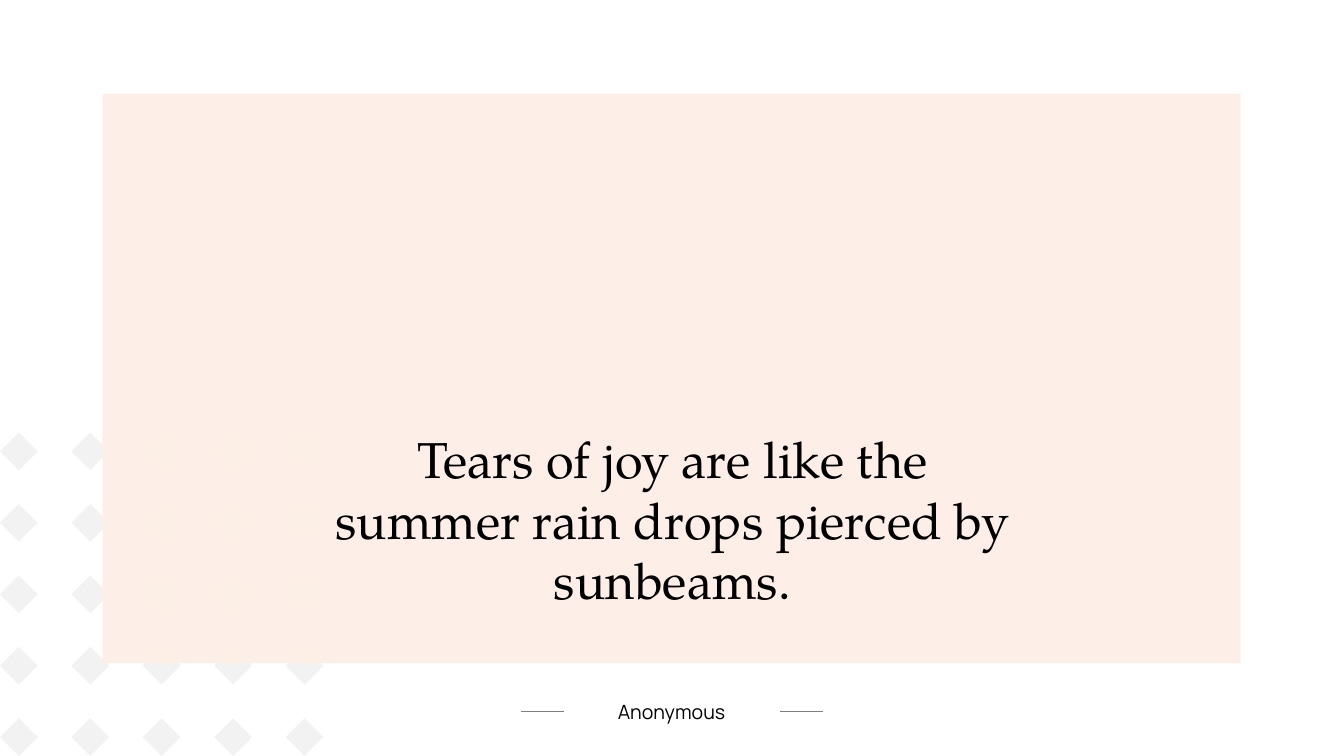
"""Build a quote slide with a tinted panel over a diamond pattern."""
import lxml.etree
import pptx
import pptx.dml.color
import pptx.enum.shapes
import pptx.enum.text
import pptx.oxml.ns
import pptx.util

Cm = pptx.util.Cm
Pt = pptx.util.Pt
RGB = pptx.dml.color.RGBColor.from_string
SHAPE = pptx.enum.shapes.MSO_SHAPE
qn = pptx.oxml.ns.qn
COLORS = {"diamond": "F2F2F2", "panel": "FDEFE6", "text": "000000", "rule": "7F7F7F"}

deck = pptx.Presentation()
deck.slide_width = Cm(33.87)
deck.slide_height = Cm(19.05)
slide = deck.slides.add_slide(deck.slide_layouts[6])


def add_filled(shapes, preset, left, top, width, height, color):
    shape = shapes.add_shape(preset, Cm(left), Cm(top), Cm(width), Cm(height))
    shape.shadow.inherit = False
    shape.fill.solid()
    shape.fill.fore_color.rgb = RGB(COLORS[color])
    shape.line.fill.background()
    return shape


def add_centred_text(text, left, top, width, height, font_name, size):
    box = slide.shapes.add_textbox(Cm(left), Cm(top), Cm(width), Cm(height))
    frame = box.text_frame
    frame.word_wrap = True
    frame.auto_size = pptx.enum.text.MSO_AUTO_SIZE.SHAPE_TO_FIT_TEXT
    frame.text = text
    paragraph = frame.paragraphs[0]
    paragraph.alignment = pptx.enum.text.PP_ALIGN.CENTER
    font = paragraph.runs[0].font
    font.name = font_name
    font.size = Pt(size)
    font.color.rgb = RGB(COLORS["text"])


pattern = slide.shapes.add_group_shape()
diamond_size, diamond_pitch, pattern_top = 0.95, 1.8, 10.9
for row in range(5):
    for column in range(5):
        add_filled(pattern.shapes, SHAPE.DIAMOND, column * diamond_pitch,
                   pattern_top + row * diamond_pitch, diamond_size, diamond_size, "diamond")

panel = add_filled(slide.shapes, SHAPE.RECTANGLE, 2.59, 2.36, 28.68, 14.35, "panel")
panel_color = panel.fill._xPr.find(qn("a:solidFill"))[0]
lxml.etree.SubElement(panel_color, qn("a:alpha"), val="95000")

add_centred_text("Tears of joy are like the summer rain drops pierced by sunbeams.",
                 8.18, 10.67, 17.53, 4.88, "TeX Gyre Pagella", 36)
add_centred_text("Anonymous", 14.17, 17.5, 5.51, 0.86, "Manrope", 14)

author_rules = slide.shapes.add_group_shape()
rule_y, rule_length = 17.93, 1.08
for rule_left in (19.66, 13.13):
    rule = author_rules.shapes.add_connector(
        pptx.enum.shapes.MSO_CONNECTOR.STRAIGHT,
        Cm(rule_left), Cm(rule_y), Cm(rule_left + rule_length), Cm(rule_y))
    rule.line.color.rgb = RGB(COLORS["rule"])
    rule.line.width = Pt(0.5)
    lxml.etree.SubElement(rule._element.spPr, qn("a:effectLst"))

deck.save("out.pptx")
